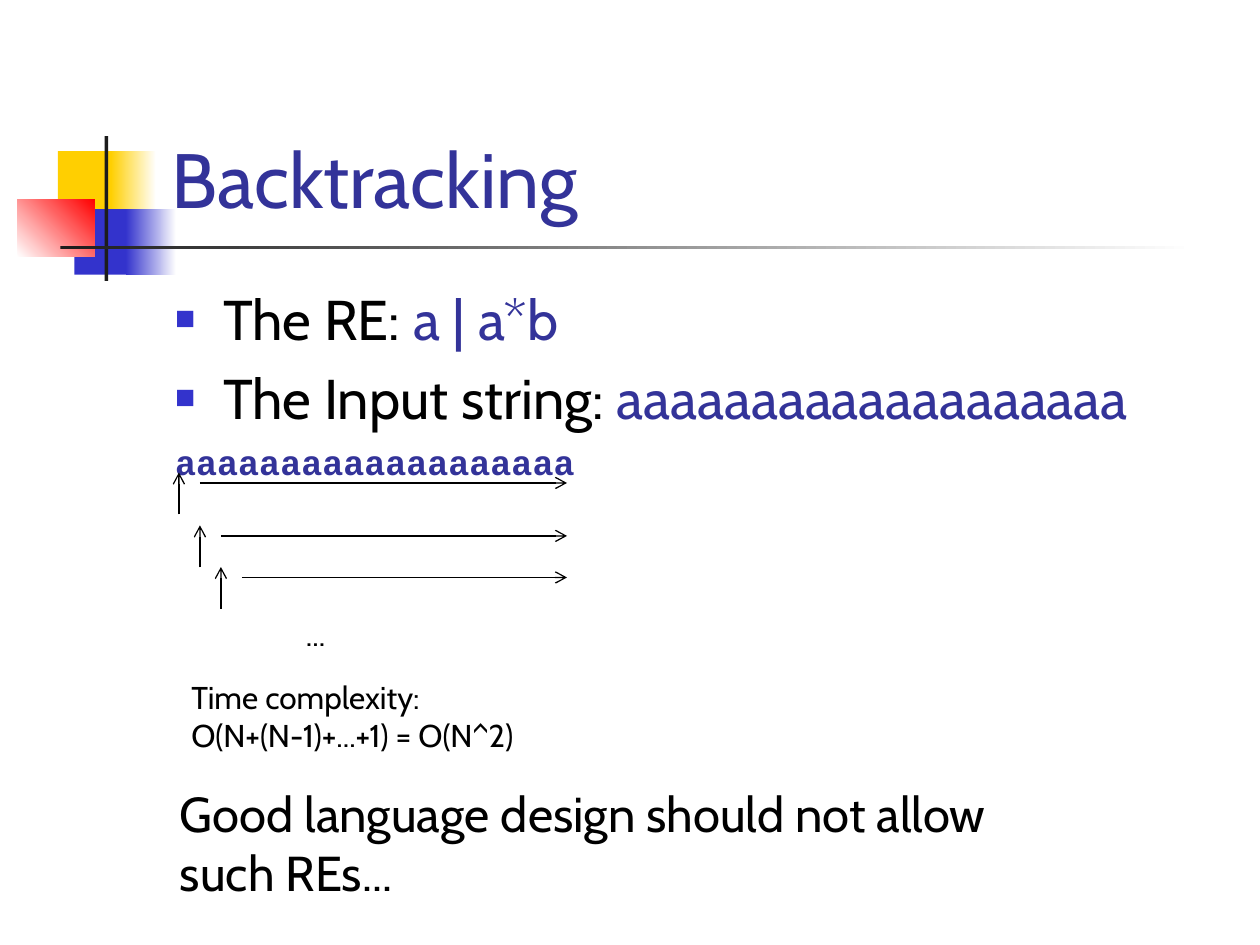
from lxml.etree import SubElement
from pptx import Presentation
from pptx.dml.color import RGBColor
from pptx.enum.shapes import MSO_CONNECTOR as Connector, MSO_SHAPE as Shape
from pptx.enum.text import MSO_ANCHOR as Anchor, MSO_AUTO_SIZE as AutoSize, PP_ALIGN as Align
from pptx.oxml.ns import qn
from pptx.util import Inches, Pt

BLACK = RGBColor(0x00, 0x00, 0x00)
WHITE = RGBColor(0xFF, 0xFF, 0xFF)
CHARCOAL = RGBColor(0x1C, 0x1C, 0x1C)
NAVY = RGBColor(0x33, 0x33, 0x99)
BLUE = RGBColor(0x33, 0x33, 0xCC)
YELLOW = RGBColor(0xFF, 0xCF, 0x01)
RED = RGBColor(0xFF, 0x00, 0x00)
INPUT_STRING = "a" * 19


def write(paragraph, text, size=18, color=BLACK, name="Cabin", bold=False):
    run = paragraph.add_run()
    run.text = text
    font = run.font
    font.size, font.name, font.bold = Pt(size), name, bold
    font.color.rgb = color


def place(shape, left, top, width, height):
    shape.left, shape.top = Inches(left), Inches(top)
    shape.width, shape.height = Inches(width), Inches(height)


def add_block(slide, box, color, end_color=None, angle=0):
    shape = slide.shapes.add_shape(Shape.RECTANGLE, *map(Inches, box))
    shape.shadow.inherit = False
    shape.line.fill.background()
    if end_color is None:
        shape.fill.solid()
        shape.fill.fore_color.rgb = color
    else:
        shape.fill.gradient()
        shape.fill.gradient_angle = angle
        for stop, stop_color in zip(shape.fill.gradient_stops, (color, end_color)):
            stop.color.rgb = stop_color


def add_decoration(slide, left, top):
    blocks = [
        (0.32, 0.12, 0.48, 0.52, YELLOW),
        (0.74, 0.12, 0.36, 0.52, YELLOW, WHITE),
        (0.45, 0.58, 0.46, 0.52, BLUE),
        (0.86, 0.58, 0.40, 0.52, BLUE, WHITE),
        (0.00, 0.50, 0.61, 0.46, WHITE, RED, 45),
        (0.69, 0.00, 0.03, 1.15, CHARCOAL),
        (0.34, 0.87, 9.00, 0.03, CHARCOAL, WHITE),
    ]
    for x, y, width, height, *fill in blocks:
        add_block(slide, (left + x, top + y, width, height), *fill)


def fill_title(slide, left, top, width, height):
    title = slide.shapes.title
    place(title, left, top, width, height)
    frame = title.text_frame
    frame.vertical_anchor = Anchor.BOTTOM
    frame.auto_size = AutoSize.NONE
    paragraph = frame.paragraphs[0]
    paragraph.alignment = Align.LEFT
    write(paragraph, "Backtracking", size=44, color=NAVY)


def set_bullet(paragraph, bulleted):
    properties = paragraph._p.get_or_add_pPr()
    properties.set("marL", str(Inches(0.38)))
    properties.set("indent", str(-Inches(0.38)))
    if not bulleted:
        SubElement(properties, qn("a:buNone"))
        return
    color = SubElement(properties, qn("a:buClr"))
    SubElement(color, qn("a:srgbClr"), val=str(BLUE))
    SubElement(properties, qn("a:buSzPct"), val="60000")
    SubElement(properties, qn("a:buChar"), char="■")


def fill_body(slide, left, top, width, height):
    body = slide.placeholders[1]
    place(body, left, top, width, height)
    frame = body.text_frame
    frame.auto_size = AutoSize.NONE
    first, second, trace = frame.paragraphs[0], frame.add_paragraph(), frame.add_paragraph()
    for paragraph, space in ((first, 0), (second, 6.4), (trace, 6)):
        set_bullet(paragraph, bulleted=paragraph is not trace)
        paragraph.space_before = Pt(space)
    write(first, "The RE: ", size=32)
    write(first, "a | a*b", size=32, color=NAVY)
    write(second, "The Input string: ", size=32)
    write(second, INPUT_STRING, size=32, color=NAVY)
    write(trace, INPUT_STRING, size=20, color=NAVY, name="Courier New", bold=True)


def add_arrow(slide, *ends):
    arrow = slide.shapes.add_connector(Connector.STRAIGHT, *map(Inches, ends))
    arrow.line.color.rgb = BLACK
    arrow.line.width = Pt(0.75)
    SubElement(arrow.line._get_or_add_ln(), qn("a:tailEnd"), type="arrow")
    SubElement(arrow._element.spPr, qn("a:effectLst"))


def add_scans(slide, left, right, tops):
    step = 1 / 6
    for index, top in enumerate(tops):
        x = left + index * step
        add_arrow(slide, x, top + 2 * step, x, top)
        add_arrow(slide, x + step, top + step / 2, right, top + step / 2)


def add_note(slide, box, lines, size=18):
    frame = slide.shapes.add_textbox(*map(Inches, box)).text_frame
    frame.word_wrap = True
    frame.auto_size = AutoSize.SHAPE_TO_FIT_TEXT
    for index, line in enumerate(lines):
        paragraph = frame.add_paragraph() if index else frame.paragraphs[0]
        write(paragraph, line, size=size)


def main():
    presentation = Presentation()
    presentation.slide_width, presentation.slide_height = Inches(10), Inches(7.5)
    slide = presentation.slides.add_slide(presentation.slide_layouts[1])
    add_decoration(slide, 0.14, 1.08)
    fill_title(slide, 1.26, 0.23, 8.52, 1.6)
    fill_body(slide, 1.29, 2.21, 8.5, 4.5)
    add_scans(slide, 1.42, 4.5, (3.75, 4.17, 4.5))
    add_note(slide, (2.33, 4.83, 2.08, 0.4), ["..."])
    add_note(slide, (1.42, 5.33, 6.83, 0.71), ["Time complexity:", "O(N+(N-1)+...+1) = O(N^2)"])
    add_note(slide, (1.33, 6.17, 6.83, 1.04),
             ["Good language design should not allow such REs..."], size=28)
    presentation.save("out.pptx")


if __name__ == "__main__":
    main()
